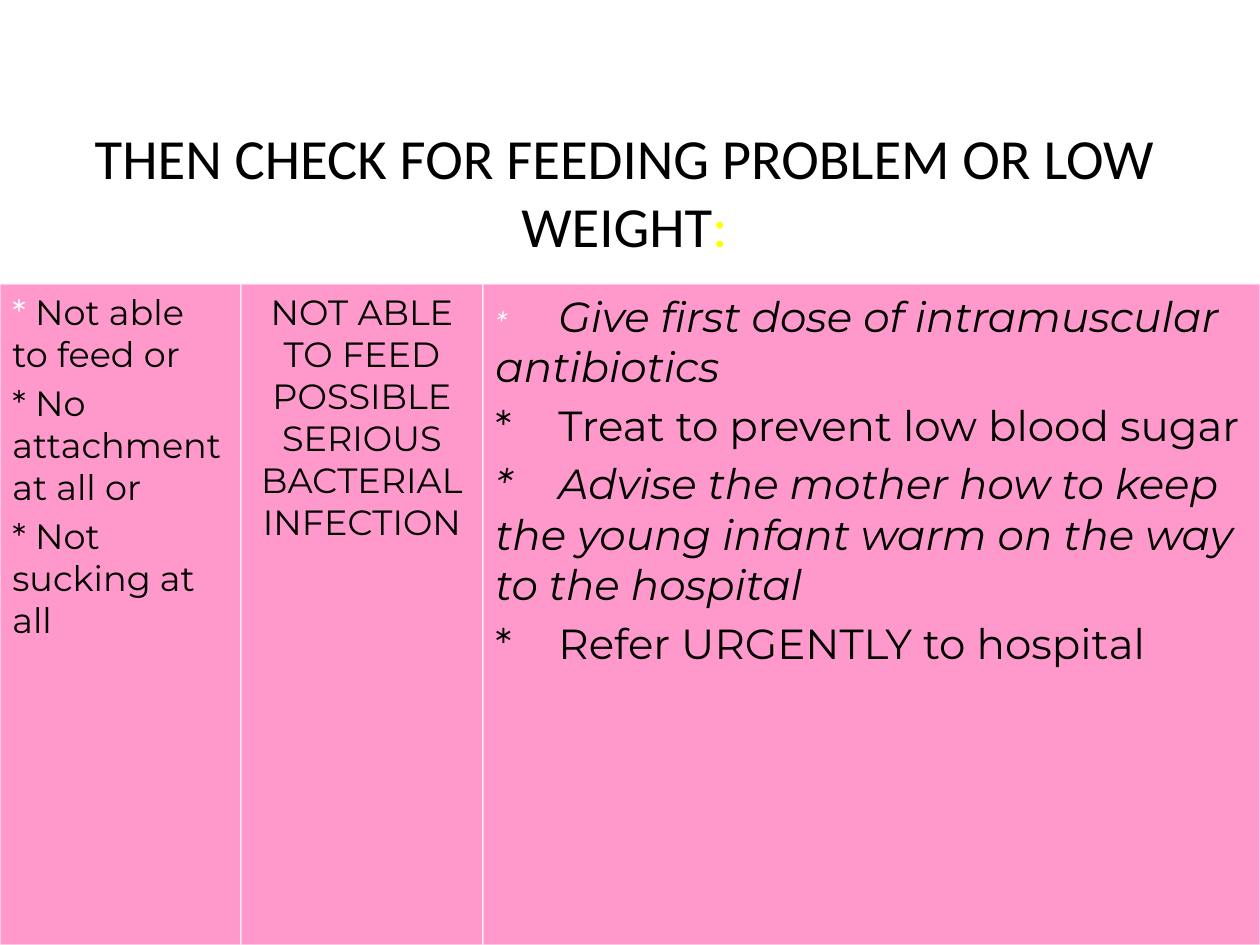
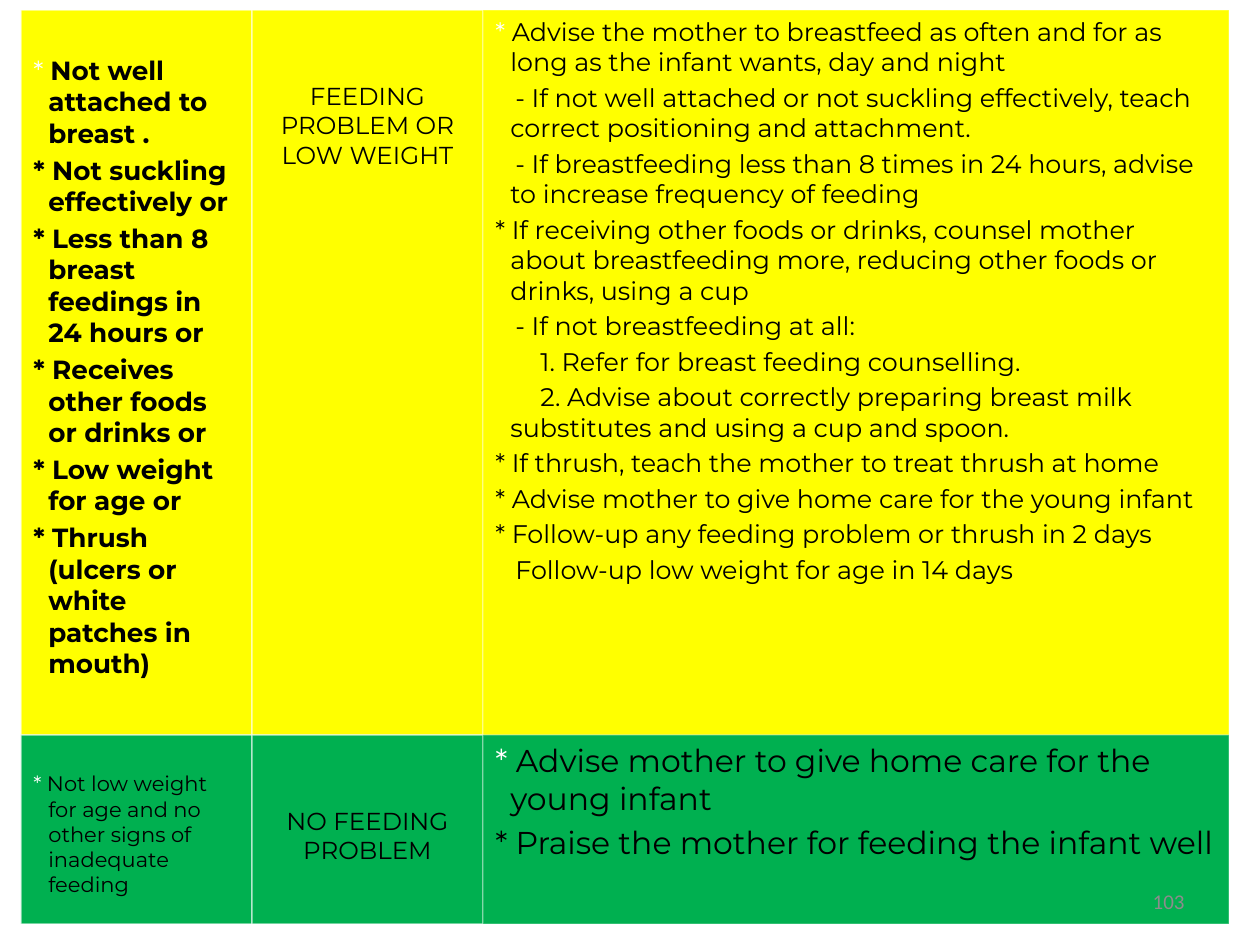
"""Build two slides classifying feeding problems and low weight in young infants."""
import pptx
import pptx.dml.color
import pptx.enum.shapes
import pptx.enum.text
import pptx.oxml.ns
import pptx.util
from lxml import etree

PX = pptx.util.Inches(1) / 126
COLORS = {"pink": "FF99CC", "yellow": "FFFF00", "green": "00B050",
          "text": "000000", "white": "FFFFFF", "page_number": "8C8C8C"}
BODY_FONT, TITLE_FONT = "Montserrat", "Calibri"
ALIGN = pptx.enum.text.PP_ALIGN
ANCHOR = pptx.enum.text.MSO_ANCHOR

TITLE = [("THEN CHECK FOR FEEDING PROBLEM OR LOW WEIGHT", "text"), (":", "yellow")]
PAGE_NUMBER = [("103", "page_number")]

# style: left margin, first-line indent, tab stop, italic
STYLES = {
    "plain": (0, 0, None, False),
    "star": (15, -15, None, False),
    "dash": (15, 5, None, False),
    "step": (15, 30, None, False),
    "first action": (0, 0, 25, True),
    "action": (0, 0, 38, False),
    "stressed action": (0, 0, 38, True),
}

URGENT = [
    {"size": 20, "paras": [
        ("plain", "* Not able to feed or"),
        ("plain", "* No attachment at all or"),
        ("plain", "* Not sucking at all")]},
    {"size": 20, "align": ALIGN.CENTER, "paras": [
        ("plain", "NOT ABLE TO FEED POSSIBLE SERIOUS BACTERIAL INFECTION")]},
    {"size": 24, "star_size": 16, "paras": [
        ("first action", "*\tGive first dose of intramuscular antibiotics"),
        ("action", "*\tTreat to prevent low blood sugar"),
        ("stressed action", "*\tAdvise the mother how to keep the young infant warm "
                            "on the way to the hospital"),
        ("action", "*\tRefer URGENTLY to hospital")]},
]
PROBLEM = [
    {"size": 15, "inset": 44, "bold": True, "paras": [
        ("star", "* Not well attached to breast ."),
        ("star", "* Not suckling effectively or"),
        ("star", "* Less than 8 breast feedings in 24 hours or"),
        ("star", "* Receives other foods or drinks or"),
        ("star", "* Low weight for age or"),
        ("star", "* Thrush (ulcers or white patches in mouth)")]},
    {"size": 14, "inset": 71, "align": ALIGN.CENTER, "paras": [
        ("plain", "FEEDING PROBLEM OR LOW WEIGHT")]},
    {"size": 14.5, "paras": [
        ("star", "* Advise the mother to breastfeed as often and for as long as "
                 "the infant wants, day and night"),
        ("dash", "- If not well attached or not suckling effectively, teach "
                 "correct positioning and attachment."),
        ("dash", "- If breastfeeding less than 8 times in 24 hours, advise to "
                 "increase frequency of feeding"),
        ("star", "* If receiving other foods or drinks, counsel mother about "
                 "breastfeeding more, reducing other foods or drinks, using a cup"),
        ("dash", "- If not breastfeeding at all:"),
        ("step", "1. Refer for breast feeding counselling."),
        ("step", "2. Advise about correctly preparing breast milk substitutes "
                 "and using a cup and spoon."),
        ("star", "* If thrush, teach the mother to treat thrush at home"),
        ("star", "* Advise mother to give home care for the young infant"),
        ("star", "* Follow-up any feeding problem or thrush in 2 days"),
        ("dash", "Follow-up low weight for age in 14 days")]},
]
NO_PROBLEM = [
    {"size": 12, "inset": 36, "paras": [
        ("star", "* Not low weight for age and no other signs of inadequate feeding")]},
    {"size": 14, "inset": 71, "align": ALIGN.CENTER, "paras": [
        ("plain", "NO FEEDING PROBLEM")]},
    {"size": 18, "paras": [
        ("star", "* Advise mother to give home care for the young infant"),
        ("star", "* Praise the mother for feeding the infant well")]},
]

URGENT_EDGES, URGENT_OPACITY = [0, 241, 483, 1260], [73, 71, 71]
FEEDING_EDGES, FEEDING_OPACITY = [21, 252, 483, 1229], [73, 71, 30]


def px(n):
    return pptx.util.Emu(round(n * PX))


def rgb(name):
    return pptx.dml.color.RGBColor.from_string(COLORS[name])


def add_run(p, text, size, color, font=BODY_FONT, bold=False, italic=False):
    r = p.add_run()
    r.text = text
    r.font.name, r.font.size = font, pptx.util.Pt(size)
    r.font.bold, r.font.italic = bold, italic
    r.font.color.rgb = rgb(color)


def add_label(s, box, runs, size, align):
    tf = s.shapes.add_textbox(*map(px, box)).text_frame
    tf.word_wrap, tf.vertical_anchor = True, ANCHOR.MIDDLE
    p = tf.paragraphs[0]
    p.alignment = align
    for text, color in runs:
        add_run(p, text, size, color, TITLE_FONT)


def format_paragraph(p, style):
    left, first, tab, italic = STYLES[style]
    pPr = p._p.get_or_add_pPr()
    pPr.set("marL", str(px(left)))
    pPr.set("indent", str(px(first)))
    if tab:
        tabs = etree.SubElement(pPr, pptx.oxml.ns.qn("a:tabLst"))
        etree.SubElement(tabs, pptx.oxml.ns.qn("a:tab"), pos=str(px(tab)), algn="l")
    return italic


def fill_cell(tf, cell):
    size, bold = cell["size"], cell.get("bold", False)
    tf.word_wrap, tf.vertical_anchor = True, ANCHOR.TOP
    tf.margin_top = px(cell.get("inset", 6))
    for i, (style, text) in enumerate(cell["paras"]):
        p = tf.add_paragraph() if i else tf.paragraphs[0]
        italic = format_paragraph(p, style)
        p.alignment = cell.get("align", ALIGN.LEFT)
        p.space_before = pptx.util.Pt(round(size * 0.2, 1) if i else 0)
        if i == 0 and text.startswith("*"):
            add_run(p, text[:2], cell.get("star_size", size), "white", italic=italic)
            text = text[2:]
        add_run(p, text, size, "text", bold=bold, italic=italic)


def add_row(s, cells, edges, opacities, top, bottom, color):
    row = s.shapes.add_group_shape()
    for cell, left, right, opacity in zip(cells, edges, edges[1:], opacities):
        sp = row.shapes.add_shape(pptx.enum.shapes.MSO_SHAPE.RECTANGLE,
                                  *map(px, (left, top, right - left, bottom - top)))
        sp.shadow.inherit = False
        sp.fill.solid()
        sp.fill.fore_color.rgb = rgb(color)
        sp.line.color.rgb = rgb("white")
        sp.line.width = pptx.util.Pt(0.75)
        clr = sp.line._ln.find(".//" + pptx.oxml.ns.qn("a:srgbClr"))
        etree.SubElement(clr, pptx.oxml.ns.qn("a:alpha"), val=str(opacity * 1000))
        fill_cell(sp.text_frame, cell)


def main():
    prs = pptx.Presentation()
    prs.slide_width, prs.slide_height = px(1260), px(945)
    urgent, feeding = [prs.slides.add_slide(prs.slide_layouts[6]) for _ in range(2)]

    add_label(urgent, (21, 142, 1207, 98), TITLE, 32.4, ALIGN.CENTER)
    add_row(urgent, URGENT, URGENT_EDGES, URGENT_OPACITY, 284, 945, "pink")

    add_row(feeding, PROBLEM, FEEDING_EDGES, FEEDING_OPACITY, 10, 735, "yellow")
    add_row(feeding, NO_PROBLEM, FEEDING_EDGES, FEEDING_OPACITY, 735, 924, "green")
    add_label(feeding, (903, 876, 294, 50), PAGE_NUMBER, 12, ALIGN.RIGHT)

    prs.save("out.pptx")


if __name__ == "__main__":
    main()
